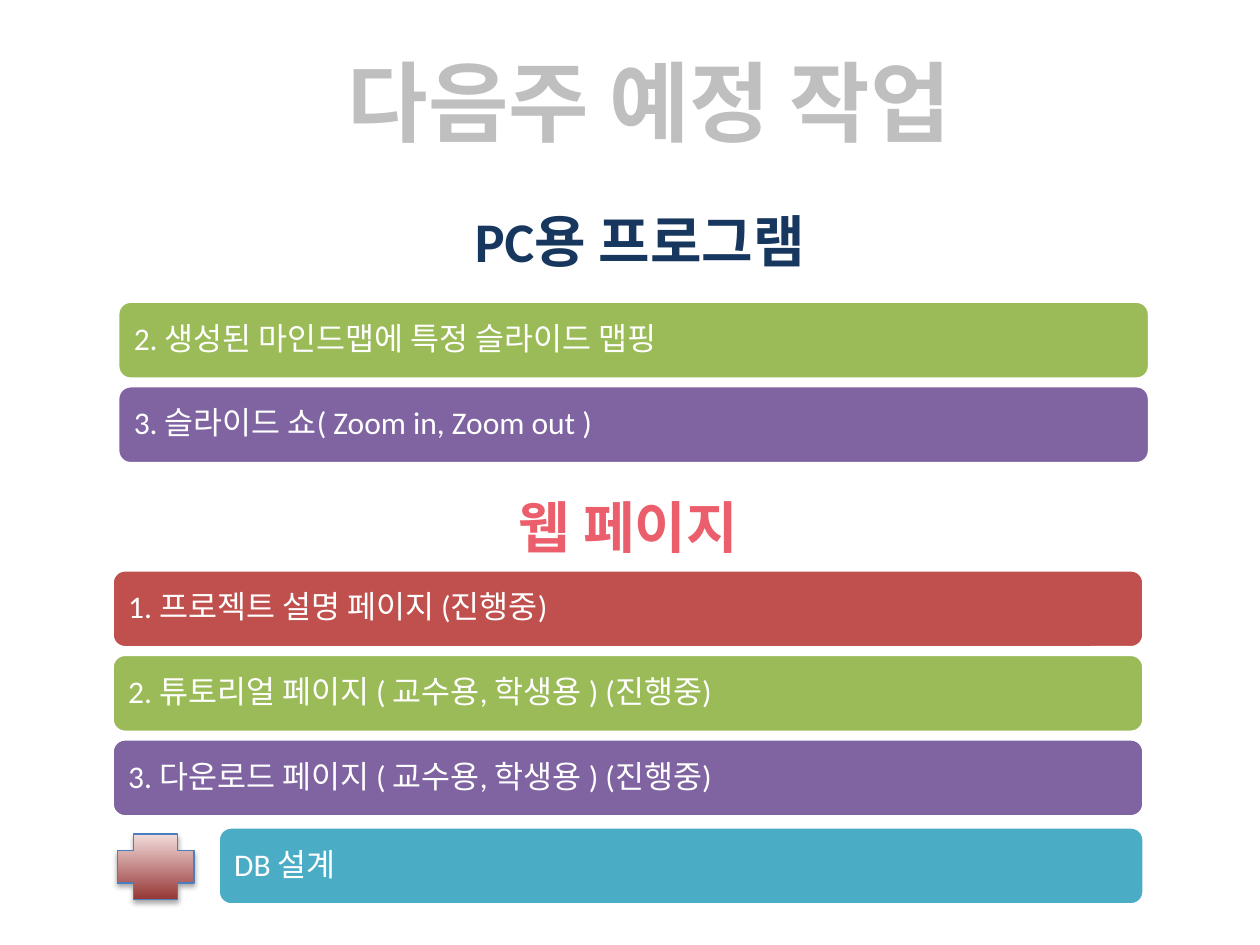
import pptx
import pptx.util
import pptx.dml.color
import pptx.enum.shapes
import pptx.enum.text
import pptx.oxml
import pptx.oxml.ns

Pt = pptx.util.Pt
RGB = pptx.dml.color.RGBColor
SHAPE = pptx.enum.shapes.MSO_SHAPE
ALIGN = pptx.enum.text.PP_ALIGN
ANCHOR = pptx.enum.text.MSO_ANCHOR

WHITE = RGB(0xFF, 0xFF, 0xFF)
GRAY = RGB(0xBF, 0xBF, 0xBF)
NAVY = RGB(0x17, 0x37, 0x5E)
PINK = RGB(0xEB, 0x5F, 0x6C)
RED = RGB(0xC0, 0x50, 0x4D)
GREEN = RGB(0x9B, 0xBB, 0x59)
PURPLE = RGB(0x80, 0x64, 0xA2)
TEAL = RGB(0x4B, 0xAC, 0xC6)
BLUE = RGB(0x4B, 0x7E, 0xBC)
ROSE = RGB(0xF2, 0xDC, 0xDB)
WINE = RGB(0x95, 0x37, 0x35)

BAR_H = 44.6
STEP = 48.3
SHADOW = (
    '<a:effectLst xmlns:a="http://schemas.openxmlformats.org/drawingml/2006/main">'
    '<a:outerShdw blurRad="39370" dist="22860" dir="5400000" rotWithShape="0">'
    '<a:srgbClr val="000000"><a:alpha val="35000"/></a:srgbClr>'
    '</a:outerShdw></a:effectLst>'
)


def write(frame, text, size, color, bold, align):
    frame.text = text
    para = frame.paragraphs[0]
    para.alignment = align
    font = para.runs[0].font
    font.name, font.size, font.bold = "Calibri", Pt(size), bold
    font.color.rgb = color


def add_head(slide, box, text, size, color, align=ALIGN.CENTER, wrap=False):
    frame = slide.shapes.add_textbox(*map(Pt, box)).text_frame
    frame.word_wrap = wrap
    write(frame, text, size, color, True, align)


def add_bar(slide, box, text, color):
    bar = slide.shapes.add_shape(SHAPE.ROUNDED_RECTANGLE, *map(Pt, box))
    bar.shadow.inherit = False
    bar.fill.solid()
    bar.fill.fore_color.rgb = color
    bar.line.color.rgb = WHITE
    bar.line.width = Pt(2)
    frame = bar.text_frame
    frame.word_wrap = True
    frame.vertical_anchor = ANCHOR.MIDDLE
    frame.margin_left = frame.margin_right = Pt(7.2)
    frame.margin_top = frame.margin_bottom = Pt(7.2)
    write(frame, text, 18, WHITE, False, ALIGN.LEFT)
    frame.paragraphs[0].line_spacing = 0.9


def add_list(slide, left, top, width, items):
    for row, (text, color) in enumerate(items):
        add_bar(slide, (left, top + row * STEP, width, BAR_H), text, color)


def add_plus(slide, box):
    plus = slide.shapes.add_shape(SHAPE.CROSS, *map(Pt, box))
    plus.fill.gradient()
    plus.fill.gradient_angle = 270
    for stop, color in zip(plus.fill.gradient_stops, (ROSE, WINE)):
        stop.color.rgb = color
    plus.line.color.rgb = BLUE
    plus.line.width = Pt(0.75)
    props = plus._element.find(pptx.oxml.ns.qn("p:spPr"))
    props.append(pptx.oxml.parse_xml(SHADOW))


def main():
    deck = pptx.Presentation()
    deck.slide_width, deck.slide_height = Pt(720), Pt(540)
    slide = deck.slides.add_slide(deck.slide_layouts[6])

    # Title
    add_head(slide, (175.7, 23.8, 391, 67.7), "다음주 예정 작업", 50, GRAY)

    # PC program
    add_head(slide, (257, 114.5, 217.4, 46), "PC용 프로그램", 32, NAVY)
    add_list(slide, 67.2, 172.1, 589.7, [
        ("2. 생성된 마인드맵에 특정 슬라이드 맵핑", GREEN),
        ("3. 슬라이드 쇼( Zoom in, Zoom out )", PURPLE),
    ])

    # Web page
    add_head(slide, (289.4, 277.9, 152.6, 46), "웹 페이지", 32, PINK,
             ALIGN.LEFT, True)
    add_list(slide, 64, 325.6, 589.7, [
        ("1. 프로젝트 설명 페이지 (진행중)", RED),
        ("2. 튜토리얼 페이지 ( 교수용, 학생용 ) (진행중)", GREEN),
        ("3. 다운로드 페이지 ( 교수용, 학생용 ) (진행중)", PURPLE),
    ])

    # Database extra
    add_plus(slide, (67, 476.6, 43.9, 37.4))
    add_bar(slide, (124.6, 472.5, 529.2, BAR_H), "DB 설계", TEAL)

    deck.save("out.pptx")


if __name__ == "__main__":
    main()
